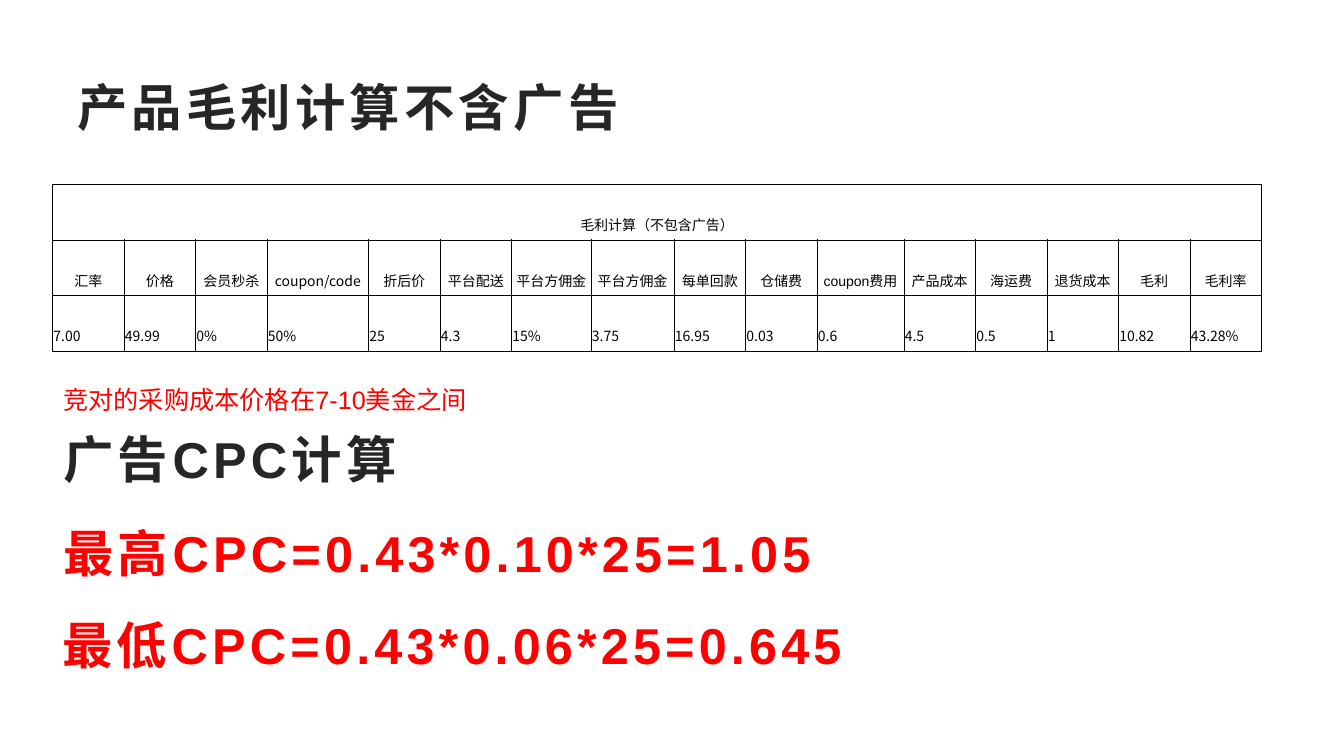
from lxml import etree
from pptx import Presentation
from pptx import util as u
from pptx.dml.color import RGBColor
from pptx.enum import text
from pptx.oxml import ns

COLORS = {"heading": "262626", "accent": "FF0000", "table": "000000"}
LATIN, CJK = "Arial", "Noto Sans CJK SC"

TABLE_TITLE = "毛利计算（不包含广告）"
COLUMNS = [
    ("汇率", "7.00"), ("价格", "49.99"), ("会员秒杀", "0%"), ("coupon/code", "50%"),
    ("折后价", "25"), ("平台配送", "4.3"), ("平台方佣金", "15%"), ("平台方佣金", "3.75"),
    ("每单回款", "16.95"), ("仓储费", "0.03"), ("coupon费用", "0.6"), ("产品成本", "4.5"),
    ("海运费", "0.5"), ("退货成本", "1"), ("毛利", "10.82"), ("毛利率", "43.28%"),
]
COLUMN_WIDTH = 51.1
WIDE_COLUMNS = {3: 72.5, 6: 56.8, 7: 59.3, 10: 62}
ROW_HEIGHT = 39.7


def style_paragraph(para, size, color, bold=False, latin=LATIN, spacing=0):
    """Set the font of a whole paragraph, with its East Asian face and letter spacing."""
    font = para.font
    font.size, font.bold, font.name = u.Pt(size), bold, latin
    font.color.rgb = RGBColor.from_string(COLORS[color])
    properties = font._element
    etree.SubElement(properties, ns.qn("a:ea"), typeface=CJK)
    if spacing:
        properties.set("spc", str(spacing * 100))


def fill_heading(box, words, left, top, height, color):
    """Place a shape and write a bold, widely spaced heading in it."""
    box.left, box.top, box.width, box.height = map(u.Pt, (left, top, 864, height))
    frame = box.text_frame
    frame.word_wrap = True
    frame.auto_size = text.MSO_AUTO_SIZE.NONE
    frame.vertical_anchor = text.MSO_ANCHOR.MIDDLE
    frame.text = words
    para = frame.paragraphs[0]
    para.alignment = text.PP_ALIGN.LEFT
    para.line_spacing = 1.0
    style_paragraph(para, 36, color, bold=True, spacing=3)


def add_box(page):
    """Add an empty text box to be placed later."""
    return page.shapes.add_textbox(0, 0, 0, 0)


def add_note(page, words):
    """Add the plain remark under the table."""
    box = page.shapes.add_textbox(*map(u.Pt, (38.2, 270.7, 319.7, 29)))
    frame = box.text_frame
    frame.word_wrap = True
    frame.auto_size = text.MSO_AUTO_SIZE.SHAPE_TO_FIT_TEXT
    frame.text = words
    style_paragraph(frame.paragraphs[0], 18, "accent")


def add_borders(cell):
    """Draw a thin line on all four sides of a cell."""
    properties = cell._tc.get_or_add_tcPr()
    for side in ("lnL", "lnR", "lnT", "lnB"):
        line = etree.SubElement(properties, ns.qn(f"a:{side}"), w=str(u.Pt(0.5)))
        fill = etree.SubElement(line, ns.qn("a:solidFill"))
        etree.SubElement(fill, ns.qn("a:srgbClr"), val=COLORS["table"])


def fill_cell(cell, words, align, latin):
    """Write a cell's text at its bottom edge."""
    cell.vertical_anchor = text.MSO_ANCHOR.BOTTOM
    cell.margin_left = cell.margin_right = cell.margin_top = u.Pt(0.7)
    cell.margin_bottom = u.Pt(3.6)
    cell.text = words
    para = cell.text_frame.paragraphs[0]
    para.alignment = align
    style_paragraph(para, 10, "table", latin=latin)


def add_profit_table(page):
    """Add the gross profit table with its merged title row."""
    frame = page.shapes.add_table(3, len(COLUMNS), *map(u.Pt, (37.5, 131.6, 864, 3 * ROW_HEIGHT)))
    table = frame.table
    table.first_row = table.horz_banding = False
    for row in table.rows:
        row.height = u.Pt(ROW_HEIGHT)
    for cell in table.iter_cells():
        add_borders(cell)
        cell.fill.background()
    center, left = text.PP_ALIGN.CENTER, text.PP_ALIGN.LEFT
    table.cell(0, 0).merge(table.cell(0, len(COLUMNS) - 1))
    fill_cell(table.cell(0, 0), TABLE_TITLE, center, LATIN)
    for index, (label, value) in enumerate(COLUMNS):
        table.columns[index].width = u.Pt(WIDE_COLUMNS.get(index, COLUMN_WIDTH))
        fill_cell(table.cell(1, index), label, center, CJK if label == "coupon/code" else LATIN)
        fill_cell(table.cell(2, index), value, left, CJK)


def main():
    """Build the slide and save it."""
    deck = Presentation()
    deck.slide_width, deck.slide_height = u.Pt(960), u.Pt(540)
    page = deck.slides.add_slide(deck.slide_layouts[5])
    fill_heading(page.shapes.title, "产品毛利计算不含广告", 48, 48, 55.5, "heading")
    add_profit_table(page)
    fill_heading(add_box(page), "广告CPC计算", 38.2, 299.5, 55.5, "heading")
    fill_heading(add_box(page), "最高CPC=0.43*0.10*25=1.05", 38.2, 363, 63.4, "accent")
    fill_heading(add_box(page), "最低CPC=0.43*0.06*25=0.645", 37.5, 432.7, 55.5, "accent")
    add_note(page, "竞对的采购成本价格在7-10美金之间")
    deck.save("out.pptx")


if __name__ == "__main__":
    main()
